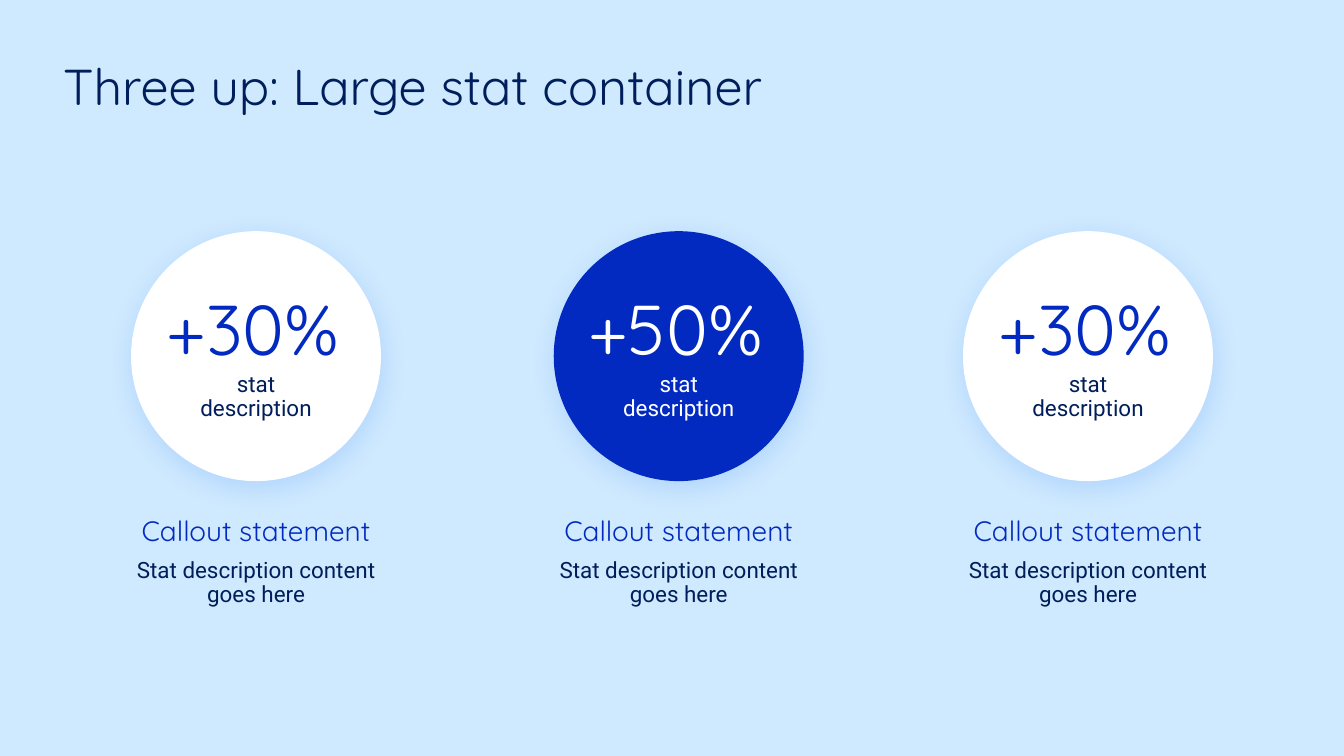
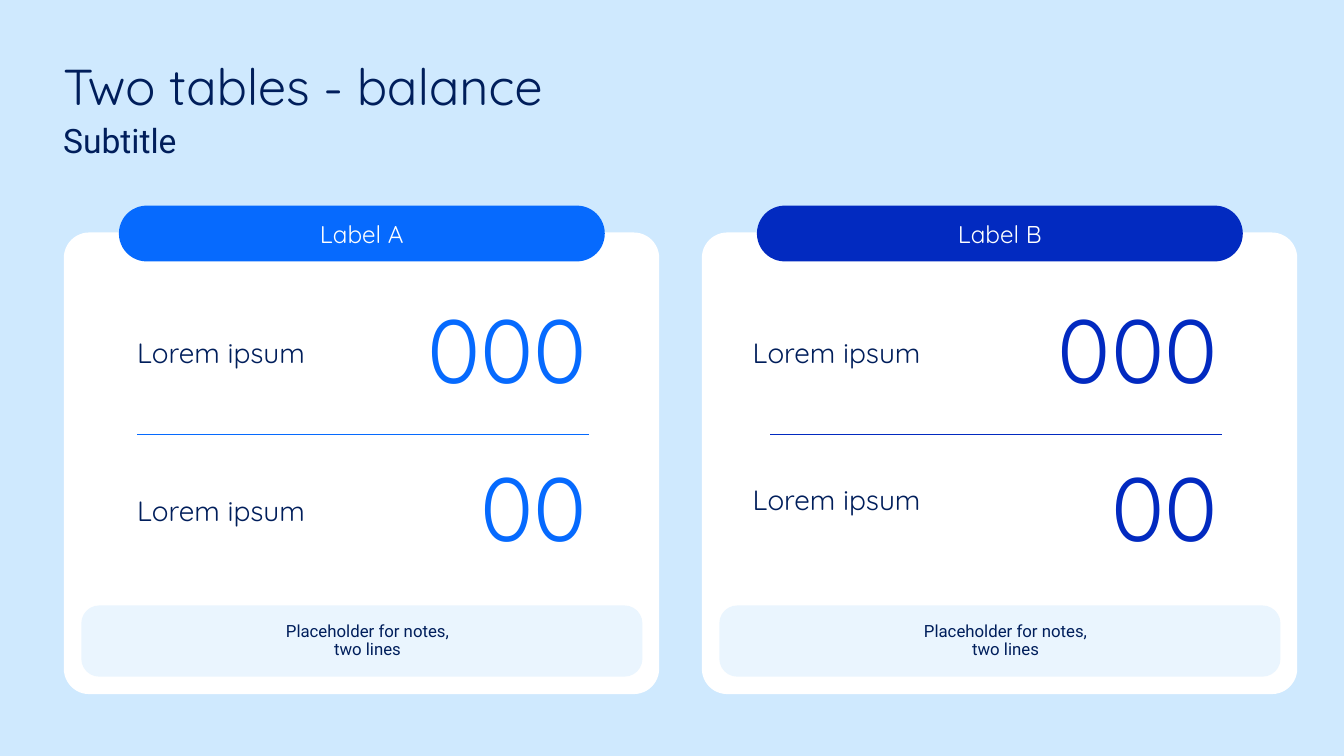
"""Build a three-stat slide and a two-card balance slide."""
from lxml import etree
from pptx import Presentation
from pptx.dml.color import RGBColor
from pptx.enum import shapes, text
from pptx.oxml import parse_xml
from pptx.oxml.ns import nsdecls, qn
from pptx.util import Pt

SKY = RGBColor(0xCF, 0xE9, 0xFE)
PALE = RGBColor(0xEA, 0xF5, 0xFE)
WHITE = RGBColor(0xFF, 0xFF, 0xFF)
BRIGHT = RGBColor(0x06, 0x6A, 0xFE)
BLUE = RGBColor(0x02, 0x2A, 0xC0)
NAVY = RGBColor(0x00, 0x1E, 0x5B)
HEAD, BODY = "Quicksand", "Roboto"
LEFT, CENTER, RIGHT = text.PP_ALIGN.LEFT, text.PP_ALIGN.CENTER, text.PP_ALIGN.RIGHT
TOP, MIDDLE = text.MSO_ANCHOR.TOP, text.MSO_ANCHOR.MIDDLE
OVAL, ROUND = shapes.MSO_SHAPE.OVAL, shapes.MSO_SHAPE.ROUNDED_RECTANGLE

STATS_TITLE = "Three up: Large stat container"
STATS = [
    dict(x=140.4, value="+30%", fill=WHITE, value_color=BLUE, note_color=NAVY),
    dict(x=593.3, value="+50%", fill=BLUE, value_color=WHITE, note_color=WHITE),
    dict(x=1031.8, value="+30%", fill=WHITE, value_color=BLUE, note_color=NAVY),
]
STAT_NOTE = ["stat", "description"]
CALLOUT = ["Callout statement"]
CALLOUT_BODY = ["Stat description content\vgoes here"]

CARDS_TITLE, CARDS_SUBTITLE = "Two tables - balance", "Subtitle"
CARDS = [
    dict(label="Label A", color=BRIGHT, label_x=146.9, value_x=404.6, rule_x=146.9,
         rows=[("Lorem ipsum", "000", 307.4), ("Lorem ipsum", "00", 476.6)]),
    dict(label="Label B", color=BLUE, label_x=806.4, value_x=1080, rule_x=824.6,
         rows=[("Lorem ipsum", "000", 307.4), ("Lorem ipsum", "00", 464.4)]),
]
CARD_NOTE = ["Placeholder for notes,", "two lines"]
CARD_X, CARD_PITCH = 68.4, 683.6
VALUE_TOPS = (307.4, 476.6)
CIRCLE = 267.8


def write(tf, lines, size, font, color, align=LEFT, anchor=TOP, spacing=0.9, inset=0):
    tf.word_wrap = True
    tf.vertical_anchor = anchor
    tf.margin_left = tf.margin_right = tf.margin_top = tf.margin_bottom = Pt(inset)
    for i, line in enumerate(lines):
        p = tf.add_paragraph() if i else tf.paragraphs[0]
        p.text = line
        p.alignment = align
        p.line_spacing = spacing
        p.font.size = Pt(size)
        p.font.name = font
        p.font.color.rgb = color


def add_text(parent, box, lines, size, font, color, **style):
    tb = parent.add_textbox(*map(Pt, box))
    write(tb.text_frame, lines, size, font, color, **style)


def add_shape(parent, kind, box, fill, adj=None):
    sp = parent.add_shape(kind, *map(Pt, box))
    sp.shadow.inherit = False
    sp.fill.solid()
    sp.fill.fore_color.rgb = fill
    sp.line.fill.background()
    if adj is not None:
        sp.adjustments[0] = adj
    return sp


def add_glow(sp):
    effects = sp._element.spPr.find(qn("a:effectLst"))
    effects.append(parse_xml(
        f'<a:outerShdw {nsdecls("a")} blurRad="{Pt(28.1)}" dist="{Pt(7.5)}" dir="{75 * 60000}" '
        f'algn="bl" rotWithShape="0"><a:srgbClr val="{BRIGHT}"><a:alpha val="15000"/>'
        '</a:srgbClr></a:outerShdw>'))


def add_rule(parent, x, y, width, color):
    line = parent.add_connector(shapes.MSO_CONNECTOR.STRAIGHT, Pt(x + width), Pt(y), Pt(x), Pt(y))
    line.line.color.rgb = color
    line.line.width = Pt(0.75)
    etree.SubElement(line._element.spPr, qn("a:effectLst"))


def add_slide(prs, title, subtitle=None):
    s = prs.slides.add_slide(prs.slide_layouts[6])
    s.background.fill.solid()
    s.background.fill.fore_color.rgb = SKY
    add_text(s.shapes, (67.7, 66.2, 1192.3, 67.7), [title], 54, HEAD, NAVY)
    if subtitle:
        add_text(s.shapes, (67.7, 133.9, 1192.3, 59.8), [subtitle], 36, BODY, NAVY)
    return s.shapes


def add_stat(parent, stat):
    x = stat["x"]
    badge = parent.add_group_shape().shapes
    add_glow(add_shape(badge, OVAL, (x, 247.7, CIRCLE, CIRCLE), stat["fill"]))
    add_text(badge, (x, 302.4, 261.4, 96.5), [stat["value"]], 75.4, HEAD, stat["value_color"],
             align=CENTER, anchor=MIDDLE, spacing=1.0)
    add_text(badge, (x + 37.4, 393.1, 193, 64.1), STAT_NOTE, 24, BODY, stat["note_color"],
             align=CENTER, anchor=MIDDLE)
    add_text(parent, (x - 28.8, 554.4, 325.4, 32.4), CALLOUT, 30, HEAD, BLUE, align=CENTER)
    add_text(parent, (x - 28.8, 599, 325.4, 52.6), CALLOUT_BODY, 24, BODY, NAVY,
             align=CENTER, anchor=MIDDLE)


def add_card(parent, x, card):
    color = card["color"]
    add_shape(parent, ROUND, (x, 249.1, 637.9, 494.6), WHITE, 0.055)
    pill = add_shape(parent, ROUND, (x + 59, 220.3, 520.6, 59.8), color, 0.5)
    write(pill.text_frame, [card["label"]], 26, HEAD, WHITE,
          align=CENTER, anchor=MIDDLE, spacing=1.0, inset=14.4)
    for (label, value, label_top), value_top in zip(card["rows"], VALUE_TOPS):
        add_text(parent, (card["label_x"], label_top, 243.4, 145.4), [label], 30, HEAD, NAVY,
                 anchor=MIDDLE)
        add_text(parent, (card["value_x"], value_top, 224.6, 145.4), [value], 96, HEAD, color,
                 align=RIGHT, anchor=MIDDLE)
    add_rule(parent, card["rule_x"], 465.1, 484.2, color)
    note = parent.add_group_shape().shapes
    add_shape(note, ROUND, (x + 18.7, 648.7, 601.2, 76.3), PALE, 0.252)
    add_text(note, (x + 59, 667.4, 532.8, 39.6), CARD_NOTE, 18, BODY, NAVY, align=CENTER)


def main():
    prs = Presentation()
    prs.slide_width, prs.slide_height = Pt(1440), Pt(810)
    stats = add_slide(prs, STATS_TITLE)
    for stat in STATS:
        add_stat(stats, stat)
    cards = add_slide(prs, CARDS_TITLE, CARDS_SUBTITLE)
    for i, card in enumerate(CARDS):
        add_card(cards, CARD_X + i * CARD_PITCH, card)
    prs.save("out.pptx")


if __name__ == "__main__":
    main()
